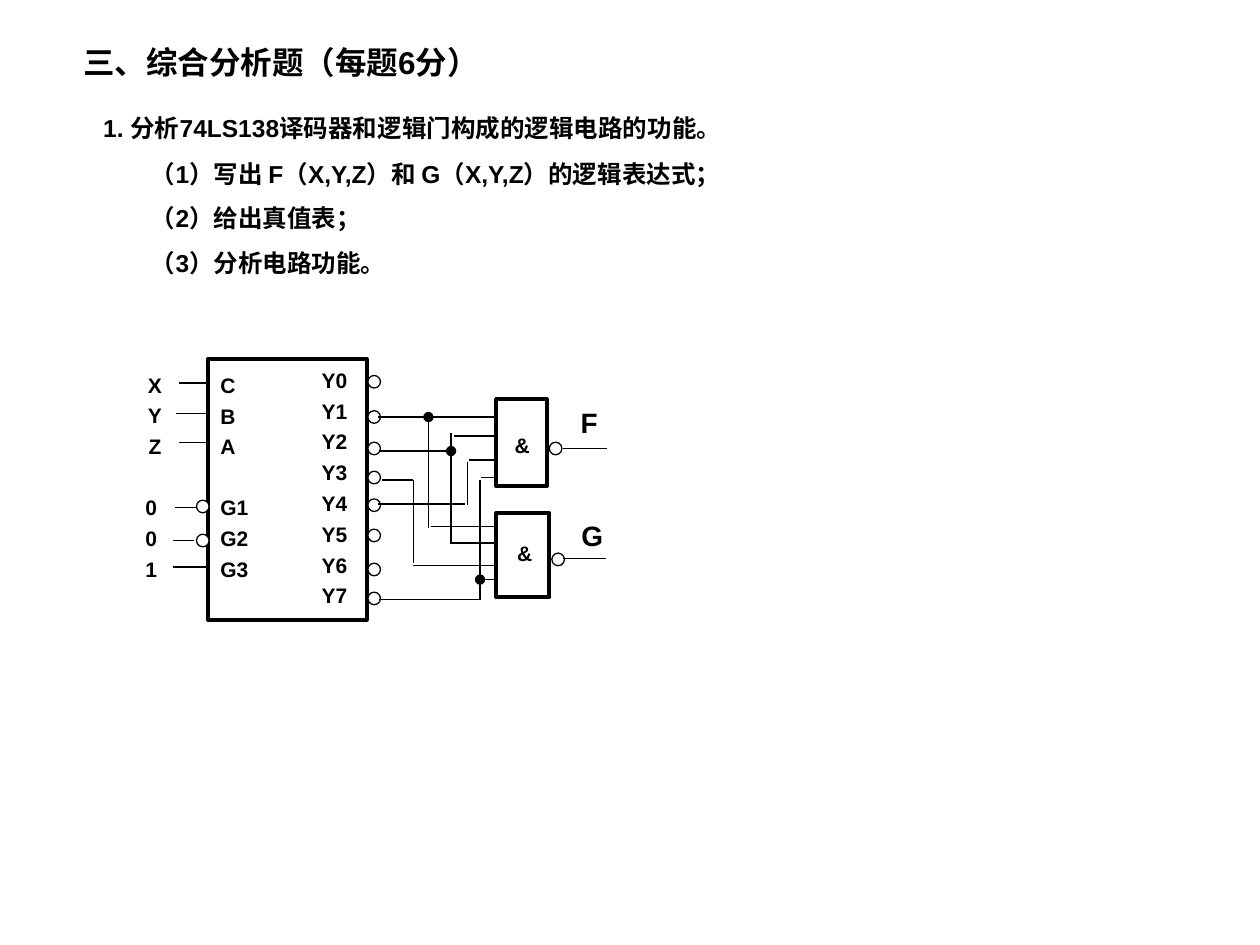
from lxml.etree import SubElement
from pptx import Presentation
from pptx.dml.color import RGBColor
from pptx.enum.shapes import MSO_CONNECTOR, MSO_SHAPE
from pptx.enum.text import MSO_ANCHOR, MSO_AUTO_SIZE, PP_ALIGN
from pptx.oxml.ns import qn
from pptx.util import Inches, Pt

COLORS = {"ink": "000000", "paper": "FFFFFF"}
INK = RGBColor.from_string(COLORS["ink"])
PAPER = RGBColor.from_string(COLORS["paper"])

presentation = Presentation()
presentation.slide_width = Inches(10)
presentation.slide_height = Inches(7.5)
slide = presentation.slides.add_slide(presentation.slide_layouts[5])


def write_text(shape, box, lines, size, align=PP_ALIGN.LEFT, spacing=1.0, gap=0.0):
    """Place a text shape and fill it with one bold paragraph per line."""
    shape.left, shape.top, shape.width, shape.height = [Inches(v) for v in box]
    frame = shape.text_frame
    frame.word_wrap = True
    frame.auto_size = MSO_AUTO_SIZE.SHAPE_TO_FIT_TEXT
    frame.vertical_anchor = MSO_ANCHOR.TOP
    for index, line in enumerate(lines):
        paragraph = frame.add_paragraph() if index else frame.paragraphs[0]
        paragraph.alignment = align
        paragraph.line_spacing = spacing
        paragraph.space_before = Pt(gap if index else 0)
        run = paragraph.add_run()
        run.text = line
        run.font.name = "Arial"
        run.font.size = Pt(size)
        run.font.bold = True
        run.font.color.rgb = INK
    return frame


def add_outline(kind, box, line_width):
    """Draw a white shape with a black outline."""
    shape = slide.shapes.add_shape(kind, *[Inches(v) for v in box])
    shape.shadow.inherit = False
    shape.fill.solid()
    shape.fill.fore_color.rgb = PAPER
    shape.line.color.rgb = INK
    shape.line.width = Pt(line_width)


# Heading and question
write_text(slide.shapes.title, (0.56, 0.29, 5.54, 0.4), ["三、综合分析题（每题6分）"], 18)
questions = [
    ((0.72, 0.85, 6.58, 0.34), ["1. 分析74LS138译码器和逻辑门构成的逻辑电路的功能。"]),
    ((1.1, 1.21, 4.96, 1.28), [
        "（1）写出 F（X,Y,Z）和 G（X,Y,Z）的逻辑表达式；",
        "（2）给出真值表；",
        "（3）分析电路功能。",
    ]),
]
for box, lines in questions:
    write_text(slide.shapes.add_textbox(0, 0, 0, 0), box, lines, 14, gap=8.8)

# Decoder and the two gates
for box in [(1.65, 2.85, 1.26, 2.07), (3.94, 3.17, 0.4, 0.69), (3.94, 4.07, 0.42, 0.67)]:
    add_outline(MSO_SHAPE.RECTANGLE, box, 2.25)

# Inversion bubbles: decoder outputs, enable inputs, gate outputs
output_tops = [2.98, 3.26, 3.51, 3.74, 3.96, 4.2, 4.47, 4.7]
bubbles = [(2.92, top) for top in output_tops]
bubbles += [(1.56, 3.97), (1.56, 4.24), (4.36, 3.51), (4.38, 4.39)]
for left, top in bubbles:
    add_outline(MSO_SHAPE.OVAL, (left, top, 0.1, 0.1), 0.75)

# Wires: start x, start y, end x, end y, end that carries a junction dot
wires = [
    # Decoder inputs
    (1.65, 3.04, 1.42, 3.04, None),
    (1.65, 3.28, 1.4, 3.28, None),
    (1.65, 3.51, 1.42, 3.51, None),
    (1.56, 4.03, 1.39, 4.03, None),
    (1.54, 4.29, 1.37, 4.29, None),
    (1.65, 4.5, 1.37, 4.5, None),
    # Y1
    (3, 3.31, 3.94, 3.31, None),
    (3.4, 3.31, 3.4, 4.19, "headEnd"),
    (3.42, 4.18, 3.93, 4.18, None),
    # Y2
    (3.01, 3.58, 3.58, 3.58, "tailEnd"),
    (3.58, 3.44, 3.58, 4.32, None),
    (3.6, 3.46, 3.94, 3.46, None),
    (3.58, 4.31, 3.93, 4.31, None),
    # Y3
    (3.03, 3.81, 3.28, 3.81, None),
    (3.28, 3.81, 3.28, 4.47, None),
    (3.28, 4.49, 3.92, 4.49, None),
    # Y4
    (3, 4, 3.69, 4, None),
    (3.71, 3.67, 3.71, 4.01, None),
    (3.72, 3.65, 3.94, 3.65, None),
    # Y7
    (3.01, 4.76, 3.81, 4.76, None),
    (3.81, 4.76, 3.81, 3.81, None),
    (3.82, 3.79, 3.94, 3.79, None),
    (3.81, 4.6, 3.94, 4.6, "headEnd"),
    # Gate outputs
    (4.47, 3.56, 4.82, 3.56, None),
    (4.47, 4.43, 4.81, 4.43, None),
]
for *ends, junction in wires:
    wire = slide.shapes.add_connector(MSO_CONNECTOR.STRAIGHT, *[Inches(v) for v in ends])
    wire.line.color.rgb = INK
    wire.line.width = Pt(0.75)
    if junction:
        SubElement(wire.line._get_or_add_ln(), qn(f"a:{junction}"), type="oval")
    SubElement(wire._element.spPr, qn("a:effectLst"))

# Pin names
pin_columns = [
    ((1.03, 2.96, 0.4, 0.73), ["X", "Y", "Z"], PP_ALIGN.CENTER),
    ((1, 3.93, 0.4, 0.73), ["0", "0", "1"], PP_ALIGN.CENTER),
    ((2.39, 2.92, 0.53, 1.95), [f"Y{n}" for n in range(8)], PP_ALIGN.CENTER),
    ((1.65, 2.96, 0.47, 1.71), ["C", "B", "A", "G1", "G2", "G3"], PP_ALIGN.LEFT),
]
for box, names, align in pin_columns:
    pins = write_text(slide.shapes.add_textbox(0, 0, 0, 0), box, names, 12, align, 0.7, 7.5)
    if "G1" in names:
        # The enable pins stand one row apart from the address pins
        pins.paragraphs[names.index("G1")].space_before = Pt(24.7)

# Gate symbols and output names
gate_labels = [
    ((3.93, 3.38, 0.43, 0.3), "&", 12),
    ((3.95, 4.24, 0.43, 0.3), "&", 12),
    ((4.5, 3.17, 0.35, 0.37), "F", 16),
    ((4.51, 4.07, 0.38, 0.37), "G", 16),
]
for box, label, size in gate_labels:
    write_text(slide.shapes.add_textbox(0, 0, 0, 0), box, [label], size, PP_ALIGN.CENTER)

presentation.save("out.pptx")
